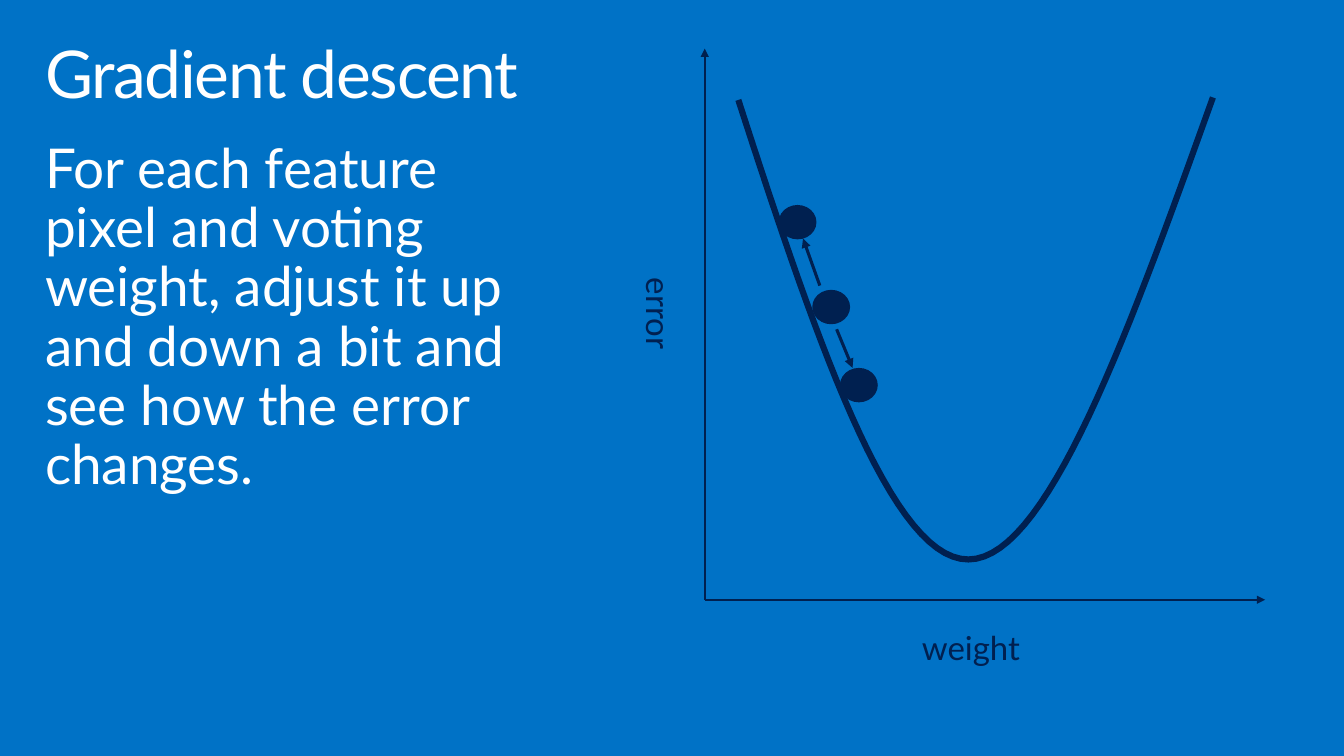
from lxml.etree import SubElement
from pptx import Presentation
from pptx.dml.color import RGBColor
from pptx.enum.shapes import MSO_CONNECTOR, MSO_SHAPE
from pptx.enum.text import MSO_ANCHOR, MSO_AUTO_SIZE, PP_ALIGN
from pptx.oxml.ns import qn
from pptx.util import Inches, Pt

BLUE = RGBColor(0x00, 0x72, 0xC6)
NAVY = RGBColor(0x00, 0x20, 0x50)
WHITE = RGBColor(0xFF, 0xFF, 0xFF)
CELL = 0.85  # inches; the slide is a grid of 16 columns by 9 rows


def grid(*cells):
    """Turn counts of grid cells into lengths."""
    return [Inches(count * CELL) for count in cells]


def write(shape, text, size, color, margin_x, margin_y):
    frame = shape.text_frame
    frame.margin_left = frame.margin_right = Inches(margin_x)
    frame.margin_top = frame.margin_bottom = Inches(margin_y)
    frame.vertical_anchor = MSO_ANCHOR.TOP
    paragraph = frame.paragraphs[0]
    paragraph.alignment = PP_ALIGN.LEFT
    paragraph.line_spacing = 0.9
    run = paragraph.add_run()
    run.text = text
    run.font.name = "Lato"
    run.font.size = Pt(size)
    run.font.color.rgb = color
    return frame, paragraph, run


prs = Presentation()
prs.slide_width, prs.slide_height = grid(16, 9)
slide = prs.slides.add_slide(prs.slide_layouts[1])
slide.background.fill.solid()
slide.background.fill.fore_color.rgb = BLUE

# Title and explanation
title = slide.shapes.title
title.left, title.top, title.width, title.height = grid(0.35, 0.38, 15.29, 1.18)
frame, paragraph, run = write(title, "Gradient descent", 48, WHITE, 0.16, 0.1)
frame.auto_size = MSO_AUTO_SIZE.NONE
run.font._element.set("spc", "-100")

explanation = slide.placeholders[1]
explanation.left, explanation.top, explanation.width, explanation.height = grid(0.35, 1.56, 6.42, 3.8)
frame, paragraph, run = write(
    explanation,
    "For each feature pixel and voting weight, adjust it up and down a bit "
    "and see how the error changes.",
    40, WHITE, 0.16, 0.1)
frame.auto_size = MSO_AUTO_SIZE.SHAPE_TO_FIT_TEXT
properties = paragraph._p.get_or_add_pPr()
properties.set("marL", "0")
properties.set("indent", "0")
SubElement(properties, qn("a:buNone"))

# Error curve: two cubic arcs meeting at the minimum
ARCS = [
    [(8.79, 1.19), (9.68, 3.93), (10.59, 6.67), (11.53, 6.66)],
    [(11.53, 6.66), (12.47, 6.66), (13.45, 3.92), (14.44, 1.16)],
]
STEPS = 30
curve_points = []
for arc in ARCS:
    for step in range(1, STEPS + 1):
        t = step / STEPS
        weights = [(1 - t) ** 3, 3 * t * (1 - t) ** 2, 3 * t ** 2 * (1 - t), t ** 3]
        curve_points.append(grid(*(
            sum(w * point[axis] for w, point in zip(weights, arc)) for axis in (0, 1))))
builder = slide.shapes.build_freeform(*grid(*ARCS[0][0]))
builder.add_line_segments(curve_points, close=False)
error_curve = builder.convert_to_shape()
error_curve.shadow.inherit = False
error_curve.fill.background()
error_curve.line.color.rgb = NAVY
error_curve.line.width = Pt(4.5)

# Axes, then the steps up and down the curve
ORIGIN = (8.39, 7.14)
for start, end, width in [
    (ORIGIN, (8.39, 0.58), 1.5),
    (ORIGIN, (15.06, 7.14), 1.5),
    ((9.76, 3.4), (9.56, 2.84), 2.25),
    ((9.96, 3.92), (10.15, 4.38), 2.25),
]:
    arrow = slide.shapes.add_connector(MSO_CONNECTOR.STRAIGHT, *grid(*start, *end))
    arrow.line.color.rgb = NAVY
    arrow.line.width = Pt(width)
    SubElement(arrow.line._get_or_add_ln(), qn("a:tailEnd"), type="triangle")
    SubElement(arrow._element.spPr, qn("a:effectLst"))

# Axis labels
for name, left, top, width, rotation in [
    ("weight", 10.74, 7.34, 1.66, 0),
    ("error", 7.15, 3.33, 1.33, 90),
]:
    label = slide.shapes.add_textbox(*grid(left, top, width, 0.81))
    label.rotation = rotation
    frame, paragraph, run = write(label, name, 24, NAVY, 0.2, 0.16)
    frame.word_wrap = False
    frame.auto_size = MSO_AUTO_SIZE.SHAPE_TO_FIT_TEXT
    paragraph.space_after = Pt(6)

# Current weight and its two neighbours
for left, top in [(9.67, 3.45), (10, 4.38), (9.27, 2.44)]:
    ball = slide.shapes.add_shape(MSO_SHAPE.OVAL, *grid(left, top, 0.45, 0.41))
    ball.shadow.inherit = False
    ball.fill.solid()
    ball.fill.fore_color.rgb = NAVY
    ball.line.fill.background()

prs.save("out.pptx")
